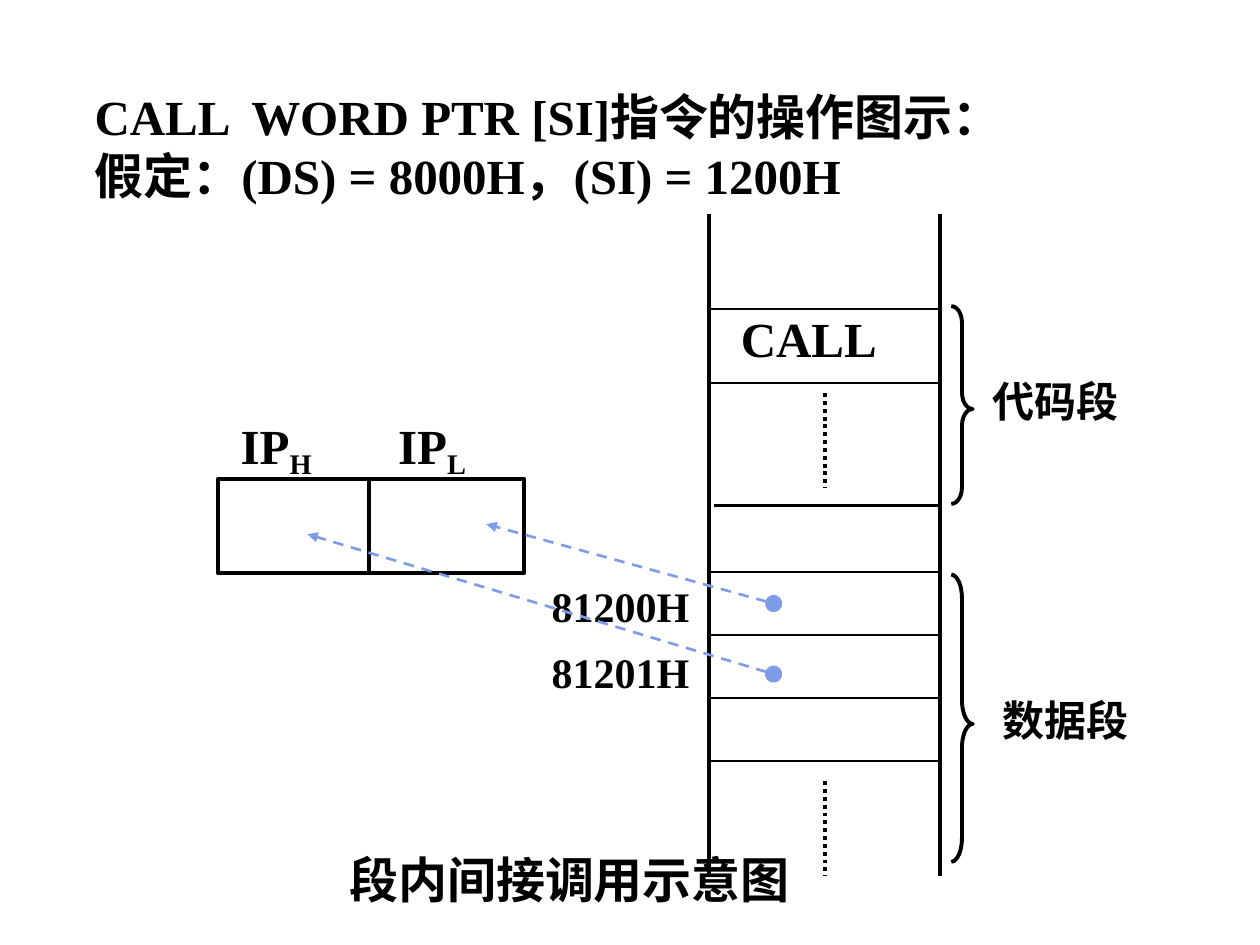
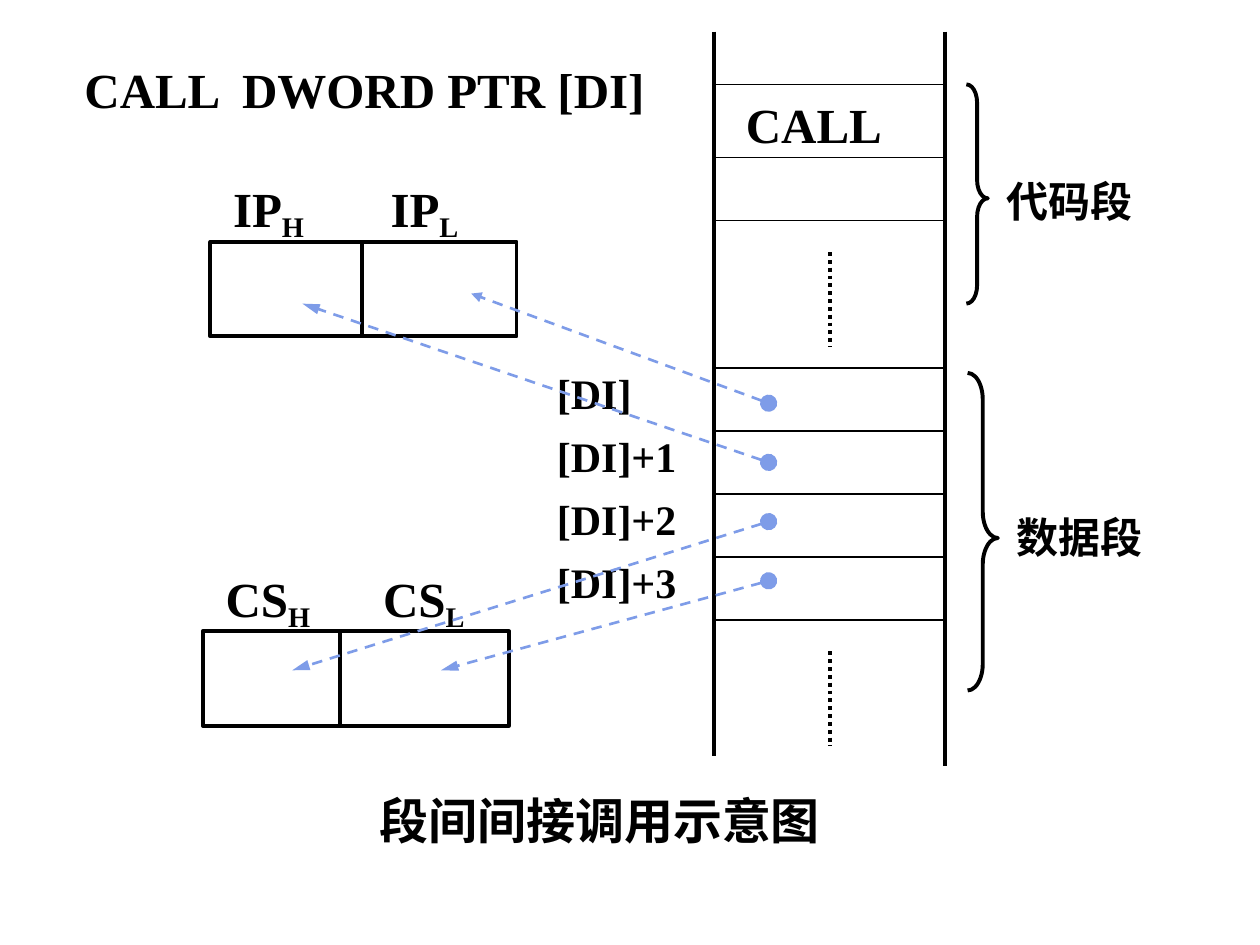
"""Build two slides that diagram indirect CALL instructions within and between segments."""
from dataclasses import dataclass

from pptx import Presentation
from pptx.dml.color import RGBColor
from pptx.enum.dml import MSO_LINE
from pptx.enum.shapes import MSO_CONNECTOR, MSO_SHAPE
from pptx.enum.text import MSO_ANCHOR, MSO_AUTO_SIZE, PP_ALIGN
from pptx.oxml.xmlchemy import OxmlElement
from pptx.util import Inches, Pt

STRAIGHT = MSO_CONNECTOR.STRAIGHT
RECTANGLE = MSO_SHAPE.RECTANGLE
RIGHT_BRACE = MSO_SHAPE.RIGHT_BRACE
DOTTED = MSO_LINE.ROUND_DOT
DASHED = MSO_LINE.DASH
LEFT, CENTER, RIGHT = PP_ALIGN.LEFT, PP_ALIGN.CENTER, PP_ALIGN.RIGHT
TOP = MSO_ANCHOR.TOP
FIXED_SIZE = MSO_AUTO_SIZE.NONE
TITLE_ONLY = 5


@dataclass(frozen=True)
class Theme:
    font: str = "Times New Roman"
    ink: RGBColor = RGBColor(0x00, 0x00, 0x00)
    transfer: RGBColor = RGBColor(0x7E, 0x9C, 0xE8)
    large: int = 28
    medium: int = 24
    thick: float = 2.25
    middle: float = 1.5
    thin: float = 1
    column_width: float = 1.83
    dots_height: float = 0.75
    register_width: float = 2.43
    register_height: float = 0.75


class CallDiagram:
    def __init__(self, presentation, theme):
        self.presentation = presentation
        self.theme = theme
        self.slide = None

    def new_slide(self):
        layout = self.presentation.slide_layouts[TITLE_ONLY]
        self.slide = self.presentation.slides.add_slide(layout)

    def fill_text(self, shape, paragraphs, size, align):
        frame = shape.text_frame
        frame.auto_size = FIXED_SIZE
        frame.word_wrap = True
        frame.vertical_anchor = TOP
        frame.margin_left = frame.margin_right = 0
        frame.margin_top = frame.margin_bottom = 0
        for index, runs in enumerate(paragraphs):
            paragraph = frame.add_paragraph() if index else frame.paragraphs[0]
            paragraph.alignment = align
            for text, is_subscript in runs:
                run = paragraph.add_run()
                run.text = text
                run.font.name = self.theme.font
                run.font.size = Pt(size)
                run.font.bold = True
                run.font.color.rgb = self.theme.ink
                if is_subscript:
                    run.font._element.set("baseline", "-20000")

    def title(self, lines, left, top, width, height):
        shape = self.slide.shapes.title
        shape.left, shape.top = Inches(left), Inches(top)
        shape.width, shape.height = Inches(width), Inches(height)
        self.fill_text(shape, [[(line, False)] for line in lines], self.theme.large, LEFT)

    def label(self, text, left, top, width, size, align=LEFT, subscript=""):
        box = self.slide.shapes.add_textbox(
            Inches(left), Inches(top), Inches(width), Inches(size / 60))
        runs = [(text, False)]
        if subscript:
            runs.append((subscript, True))
        self.fill_text(box, [runs], size, align)

    def caption(self, text, left, top):
        self.label(text, left, top, 4.72, self.theme.large, CENTER)

    def line(self, start, end, weight, color=None, dash=None):
        connector = self.slide.shapes.add_connector(
            STRAIGHT, *(Inches(value) for value in (*start, *end)))
        connector.line.color.rgb = color or self.theme.ink
        connector.line.width = Pt(weight)
        if dash:
            connector.line.dash_style = dash
        connector._element.spPr.append(OxmlElement("a:effectLst"))
        return connector

    def transfer_arrow(self, start, end, length="med"):
        connector = self.line(start, end, self.theme.middle, self.theme.transfer, DASHED)
        outline = connector._element.spPr.get_or_add_ln()
        ends = (("a:headEnd", "oval", "lg", "lg"), ("a:tailEnd", "triangle", "med", length))
        for tag, kind, width, extent in ends:
            element = OxmlElement(tag)
            element.set("type", kind)
            element.set("w", width)
            element.set("len", extent)
            outline.append(element)

    def outlined(self, preset, left, top, width, height):
        shape = self.slide.shapes.add_shape(
            preset, Inches(left), Inches(top), Inches(width), Inches(height))
        shape.shadow.inherit = False
        shape.fill.background()
        shape.line.color.rgb = self.theme.ink
        shape.line.width = Pt(self.theme.thick)
        return shape

    def brace(self, left, top, width, height):
        shape = self.outlined(RIGHT_BRACE, left, top, width, height)
        shape.adjustments[0] = height / 12 / width
        shape.adjustments[1] = 0.52

    def segment(self, name, brace, name_left, name_top):
        self.brace(*brace)
        self.label(name, name_left, name_top, 1.4, self.theme.medium)

    def memory(self, left, top, bottoms, rows, dots, call_top):
        theme = self.theme
        right = left + theme.column_width
        middle = left + theme.column_width / 2
        for x, bottom in zip((left, right), bottoms):
            self.line((x, top), (x, bottom), theme.thick)
        for y in rows:
            self.line((left, y), (right, y), theme.thin)
        for y in dots:
            self.line((middle, y), (middle, y + theme.dots_height), theme.thick, dash=DOTTED)
        self.label("CALL", left + 0.25, call_top, 1.33, theme.large)

    def register(self, name, left, top, divider):
        theme = self.theme
        self.outlined(RECTANGLE, left, top, theme.register_width, theme.register_height)
        self.line((divider, top), (divider, top + theme.register_height), theme.thick)
        for half, offset in (("H", 0.18), ("L", 1.43)):
            self.label(name, left + offset, top - 0.5, 0.9, theme.large, subscript=half)


def near_call_slide(diagram):
    diagram.new_slide()
    diagram.title(["CALL  WORD PTR [SI]指令的操作图示：",
                   "假定：(DS) = 8000H，(SI) = 1200H"], 0.75, 0.69, 8.82, 0.93)
    data_rows = [4.54 + 0.5 * step for step in range(4)]
    diagram.memory(5.63, 1.7, (6.95, 6.95), [2.45, 3.04, *data_rows], (3.12, 6.2), 2.45)
    diagram.line((5.67, 4.01), (7.48, 4.01), diagram.theme.middle)
    diagram.register("IP", 1.73, 3.8, 2.93)
    diagram.segment("代码段", (7.55, 2.43, 0.17, 1.57), 7.88, 2.98)
    diagram.segment("数据段", (7.55, 4.56, 0.17, 2.28), 7.96, 5.51)
    for address, top in (("81200H", 4.61), ("81201H", 5.13)):
        diagram.label(address, 4.33, top, 1.14, diagram.theme.medium, RIGHT)
    diagram.transfer_arrow((6.14, 4.79), (3.86, 4.16))
    diagram.transfer_arrow((6.14, 5.35), (2.44, 4.24))
    diagram.caption("段内间接调用示意图", 2.16, 6.74)


def far_call_slide(diagram):
    diagram.new_slide()
    diagram.title(["CALL  DWORD PTR [DI]"], 0.67, 0.47, 5, 0.47)
    data_rows = [2.92 + 0.5 * step for step in range(5)]
    diagram.memory(5.67, 0.25, (6, 6.08), [0.67, 1.25, 1.75, *data_rows], (2, 5.17), 0.75)
    diagram.register("IP", 1.67, 1.92, 2.87)
    diagram.register("CS", 1.61, 5.01, 2.7)
    diagram.segment("代码段", (7.67, 0.67, 0.17, 1.74), 7.99, 1.39)
    diagram.segment("数据段", (7.68, 2.96, 0.24, 2.52), 8.07, 4.06)
    addresses = ("[DI]", "[DI]+1", "[DI]+2", "[DI]+3")
    for address, top in zip(addresses, data_rows):
        diagram.label(address, 4.42, top, 1.2, diagram.theme.medium)
    targets = ((3.74, 2.33, "med"), (2.4, 2.41, "lg"), (2.32, 5.32, "lg"), (3.5, 5.32, "lg"))
    for index, (x, y, length) in enumerate(targets):
        diagram.transfer_arrow((6.1, 3.2 + 0.47 * index), (x, y), length)
    diagram.caption("段间间接调用示意图", 2.4, 6.27)


def main():
    presentation = Presentation()
    presentation.slide_width = Inches(10)
    presentation.slide_height = Inches(7.5)
    diagram = CallDiagram(presentation, Theme())
    near_call_slide(diagram)
    far_call_slide(diagram)
    presentation.save("out.pptx")


if __name__ == "__main__":
    main()
